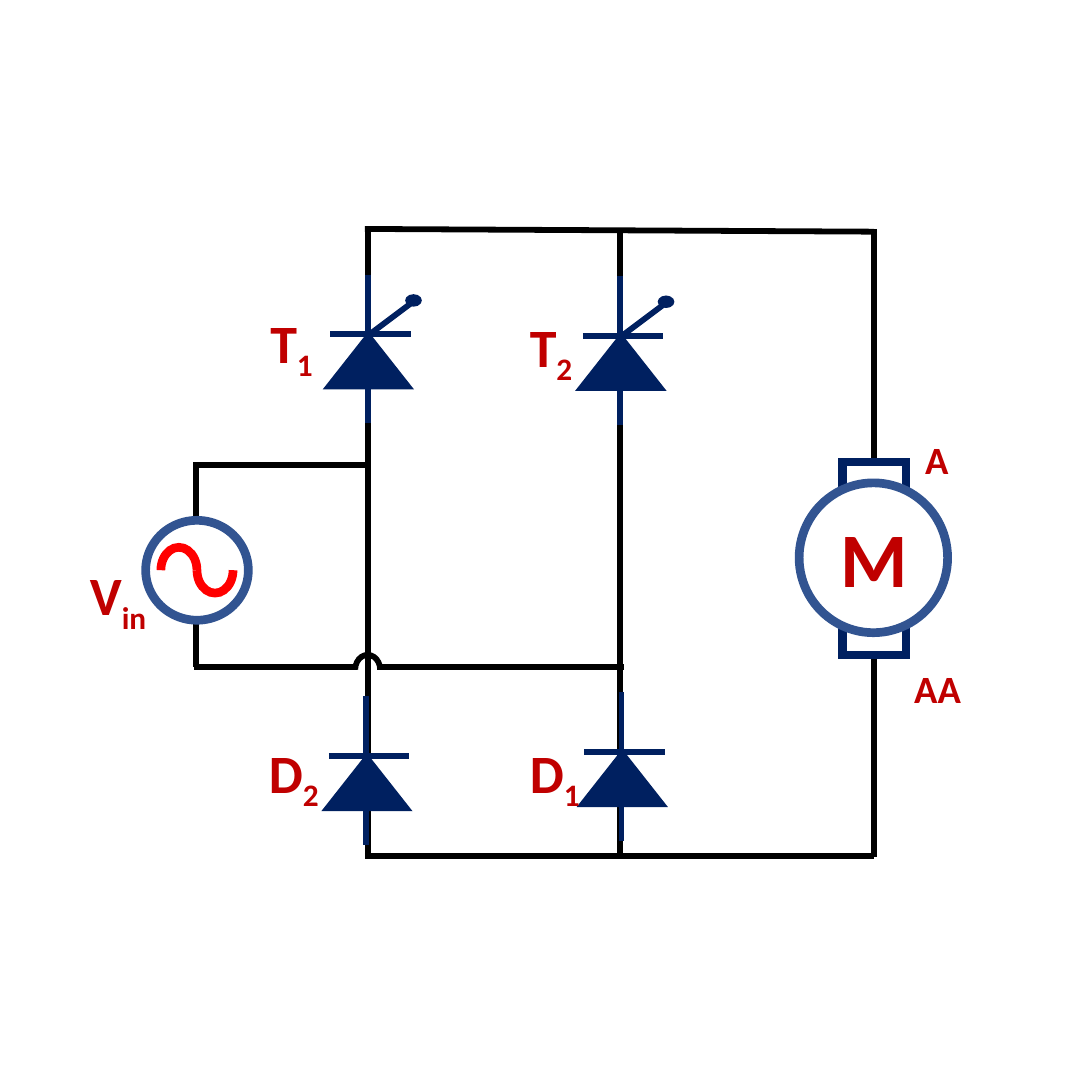
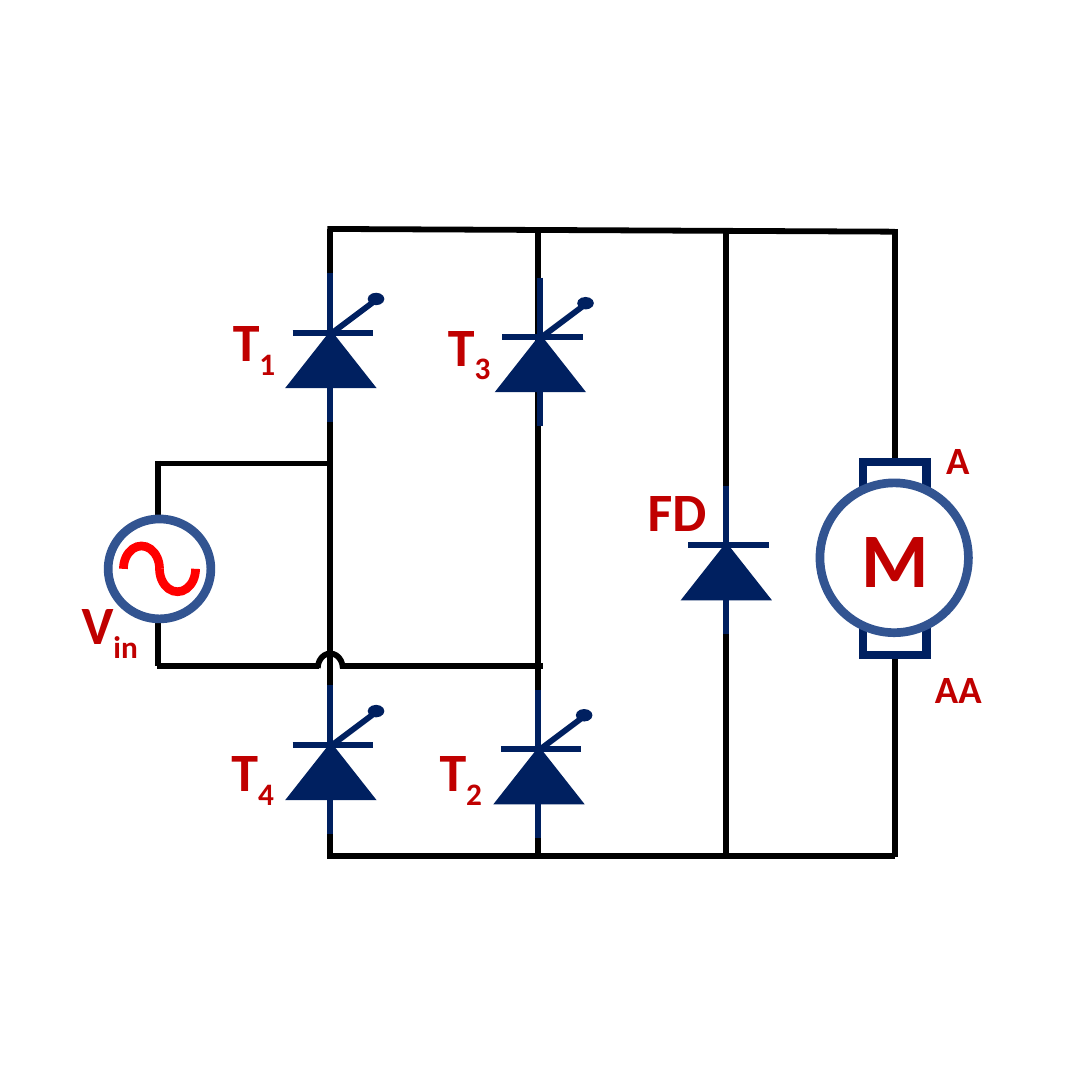
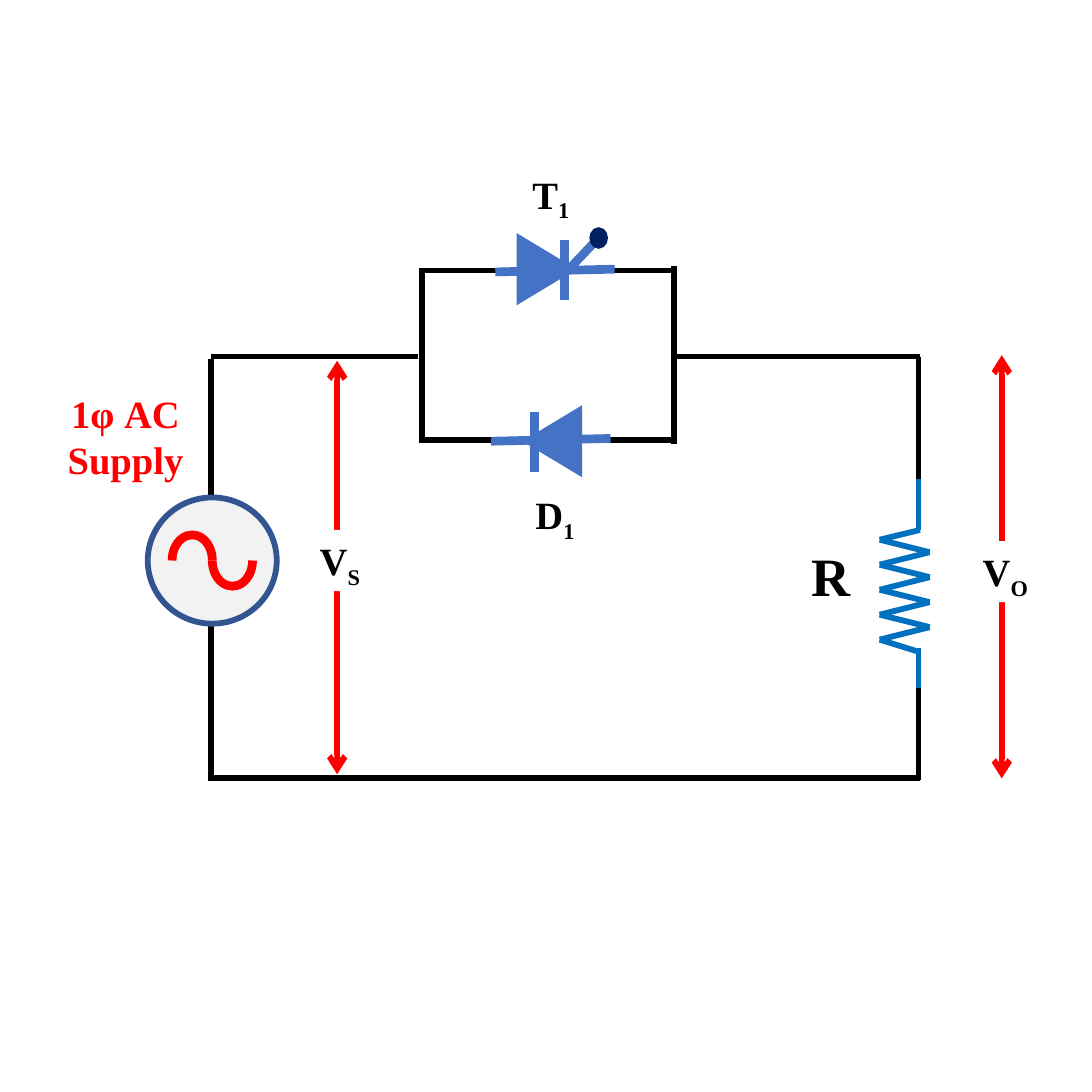
from itertools import pairwise

from lxml.etree import SubElement
from pptx import Presentation
from pptx.dml.color import RGBColor
from pptx.enum.shapes import MSO_CONNECTOR as Link, MSO_SHAPE as Kind
from pptx.enum.text import MSO_AUTO_SIZE as Fit, PP_ALIGN as Align
from pptx.oxml.ns import qn
from pptx.util import Inches, Pt

# The slide is a grid of 787 columns by 787 rows.
SIDE = 787
CELL = Inches(0.01)
INK = {
    "black": "000000", "white": "FFFFFF", "grey": "F2F2F2", "red": "FF0000",
    "label": "C00000", "navy": "002060", "ring": "325491", "blue": "4472C4",
    "coil": "0070C0",
}
SANS, SERIF = "Calibri", "Times New Roman"
HALF = 108  # half a turn, in arc adjustment units


def grid(*cells):
    return [int(n * CELL) for n in cells]


def tint(name):
    return RGBColor.from_string(INK[name])


def wire(on, x1, y1, x2, y2, ink="black", pt=3, arrows=False):
    line = on.add_connector(Link.STRAIGHT, *grid(x1, y1, x2, y2))
    line.line.color.rgb = tint(ink)
    line.line.width = Pt(pt)
    props = line._element.spPr
    SubElement(props, qn("a:effectLst"))
    if arrows:
        for end in ("a:headEnd", "a:tailEnd"):
            SubElement(props.find(qn("a:ln")), qn(end), type="arrow")


def form(on, kind, x, y, w, h, fill=None, ink=None, pt=3, turn=0):
    """Add a preset shape with sharp corners."""
    shape = on.add_shape(kind, *grid(x, y, w, h))
    shape.shadow.inherit = False
    shape.rotation = turn
    if fill:
        shape.fill.solid()
        shape.fill.fore_color.rgb = tint(fill)
    else:
        shape.fill.background()
    if ink:
        shape.line.color.rgb = tint(ink)
        shape.line.width = Pt(pt)
        SubElement(shape.line._get_or_add_ln(), qn("a:miter"), lim="800000")
    else:
        shape.line.fill.background()
    return shape


def arc(on, x, y, w, h, ink="black", pt=3, low=False):
    """Draw the upper half of an ellipse, or the lower half if low."""
    bow = form(on, Kind.ARC, x, y, w, h, None, ink, pt)
    bow.adjustments[0], bow.adjustments[1] = (0, HALF) if low else (HALF, 0)


def label(on, text, x, y, w=84, h=57, sub="", size=28, ink="label",
          font=SANS, align=Align.LEFT, fill=None):
    box = on.add_textbox(*grid(x, y, w, h))
    if fill:
        box.fill.solid()
        box.fill.fore_color.rgb = tint(fill)
    frame = box.text_frame
    frame.word_wrap = True
    frame.auto_size = Fit.SHAPE_TO_FIT_TEXT
    para = frame.paragraphs[0]
    para.alignment = align
    para.font.name, para.font.size, para.font.bold = font, Pt(size), True
    para.font.color.rgb = tint(ink)
    para.add_run().text = text
    if sub:
        low = para.add_run()
        low.text = sub
        low.font._element.set("baseline", "-25000")


def tag(on, text, x, y, w, sub="", ink="black", h=44, fill=None):
    """Add a centred serif label."""
    label(on, text, x, y, w, h, sub, 20, ink, SERIF, Align.CENTER, fill)


def diode(on, x, y, gate=False):
    """Add an upward diode whose bar crosses the wire at x, y."""
    part = on.add_group_shape().shapes
    form(part, Kind.ISOSCELES_TRIANGLE, x - 31, y - 1, 63, 40,
         "navy", "navy", 1)
    wire(part, x - 27, y, x + 31, y, "navy")
    wire(part, x, y - 43, x, y + 64, "navy")
    if gate:
        form(part, Kind.OVAL, x + 27, y - 29, 12, 9, "navy")
        wire(part, x + 32, y - 23, x, y + 1, "navy")


def motor(on, x):
    part = on.add_group_shape().shapes
    form(part, Kind.RECTANGLE, x - 23, 333, 46, 139, "white", "navy", 4.5)
    form(part, Kind.OVAL, x - 54, 348, 107, 108, "white", "ring", 4.5)
    label(part, "M", x - 42, 363, 84, 77, size=40, align=Align.CENTER)
    label(on, "A", x + 27, 309, 36, 44, size=20)
    label(on, "AA", x + 19, 474, 84, 44, size=20)


def source(on, x, y, w, h, fill, pt, wide, high):
    """Add an AC source centred at x, y with one sine wave inside."""
    part = on.add_group_shape().shapes
    form(part, Kind.OVAL, x - w / 2, y - h / 2, w, h, fill, "ring", pt)
    arc(part, x - wide, y - high / 2, wide, high, "red", 4.5)
    arc(part, x, y - high / 2, wide, high, "red", 4.5, low=True)


def bridge(on, feed, top, left, right, load, legs):
    """Wire a source at feed, two bridge legs, any more legs and a motor."""
    foot = top + 148
    wire(on, feed, top, feed, foot)
    for x in (load, right, left + 1, *legs):
        wire(on, x, 165, x, 618)
    wire(on, left - 1, 165, load, 167)
    wire(on, left - 1, 617, load, 617)
    motor(on, load)
    source(on, feed + 1, top + 78, 74, 72, "white", 4.5, 26, 33)
    wire(on, feed - 1, top + 2, left, top + 2)
    wire(on, feed - 1, foot, left - 7, foot)
    wire(on, left + 8, foot, right + 3, foot)
    arc(on, left - 8, top + 139, 18, 21)


def semi(on):
    bridge(on, 141, 333, 264, 447, 630, [])
    for x, y, gate in ((265, 241, True), (447, 242, True),
                       (264, 545, False), (448, 542, False)):
        diode(on, x, y, gate)
    for text, sub, x, y in (("T", "1", 185, 218), ("T", "2", 372, 221),
                            ("D", "1", 372, 528), ("D", "2", 184, 528),
                            ("V", "in", 55, 400)):
        label(on, text, x, y, sub=sub)


def full(on):
    bridge(on, 114, 332, 237, 388, 645, [523])
    for x, y in ((238, 240), (389, 243), (388, 540), (238, 537)):
        diode(on, x, y, gate=True)
    diode(on, 523, 393)
    for text, sub, x, y in (("T", "1", 158, 217), ("T", "3", 313, 220),
                            ("T", "2", 307, 527), ("T", "4", 157, 527),
                            ("V", "in", 49, 421), ("FD", "", 457, 339)):
        label(on, text, x, y, sub=sub)


def valve(on, x, y, bar, turn):
    """Add a sideways diode: triangle at x, y and an upright bar."""
    part = on.add_group_shape().shapes
    form(part, Kind.ISOSCELES_TRIANGLE, x, y, 41, 34, "blue", "blue", 4.5, turn)
    wire(part, bar, y - 4, bar, y + 39, "blue", 4.5)


def coil(on):
    part = on.add_group_shape().shapes
    bends = [(670 if k % 2 else 634, 389 + 9 * k) for k in range(9)]
    for start, end in pairwise([(663, 382), *bends, (663, 470)]):
        wire(part, *start, *end, "coil")
    for y in (327, 467):
        wire(part, 662, y, 662, y + 55, "coil")


def control(on):
    for y in (317, 195):
        wire(on, 487, y, 302, y)
    wire(on, 357, 196, 443, 194, "blue", 4.5)
    valve(on, 372, 177, 407, 90)
    wire(on, 411, 193, 428, 175, "blue", 4.5)
    wire(on, 301, 257, 152, 257)
    wire(on, 152, 259, 152, 561)
    source(on, 153, 404, 93, 91, "grey", 3, 29, 37)
    wire(on, 440, 316, 354, 318, "blue", 4.5)
    valve(on, 379, 301, 385, 270)
    wire(on, 663, 257, 486, 257)
    coil(on)
    for x, top, foot in ((662, 257, 345), (662, 496, 562),
                         (304, 197, 315), (486, 192, 320)):
        wire(on, x, top, x, foot)
    wire(on, 663, 561, 150, 561)
    tag(on, "1φ AC Supply", 32, 276, 117, ink="red", h=77)
    wire(on, 722, 256, 722, 561, "red", arrows=True)
    tag(on, "V", 692, 390, 65, "O", fill="white")
    wire(on, 243, 260, 243, 558, "red", arrows=True)
    tag(on, "V", 215, 382, 60, "S", fill="white")
    label(on, "R", 575, 386, 29, 44, ink="black", font=SERIF)
    tag(on, "T", 364, 118, 66, "1")
    tag(on, "D", 367, 349, 66, "1")
    form(on, Kind.OVAL, 428, 167, 7, 9, "navy", "navy", 4.5)


def main():
    deck = Presentation()
    deck.slide_width = deck.slide_height = SIDE * CELL
    for draw in (semi, full, control):
        draw(deck.slides.add_slide(deck.slide_layouts[6]).shapes)
    deck.save("out.pptx")


if __name__ == "__main__":
    main()
